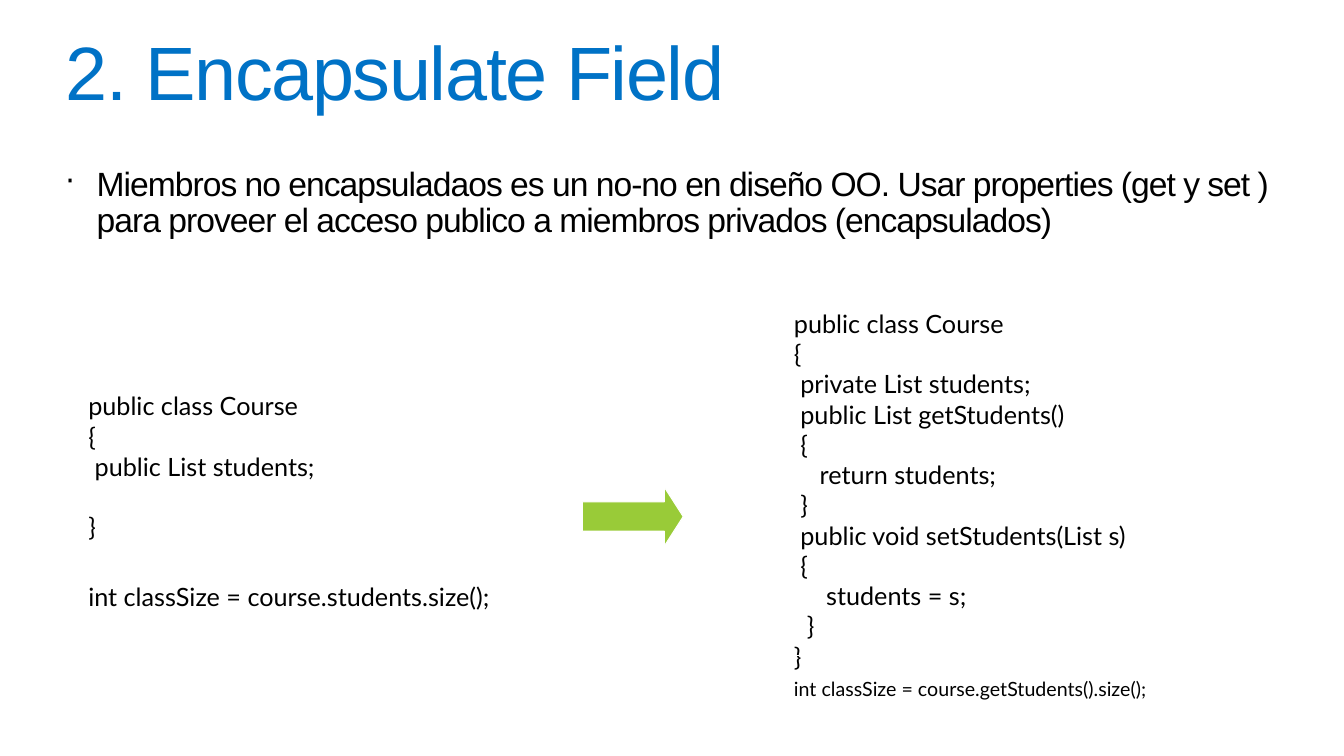
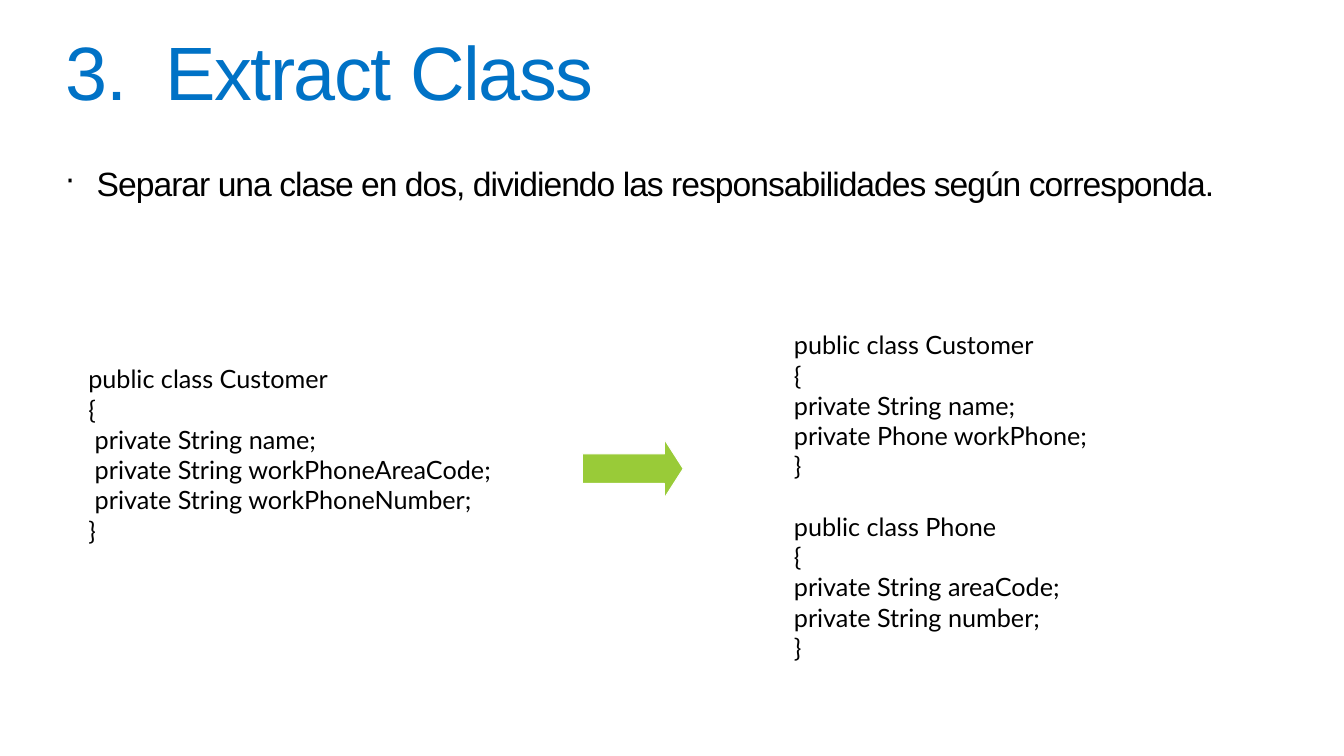
import pptx
import pptx.util
import pptx.dml.color
import pptx.enum.shapes
import pptx.enum.text
import pptx.oxml

COLORS = {"title": "0072C6", "text": "000000", "arrow": "99CB38", "outline": "FFFFFF"}
HEADING_FONT = "Arial"
CODE_FONT = "Lato"
CODE_LEADING = 1.2

deck = pptx.Presentation()
deck.slide_width = pptx.util.Inches(13.33)
deck.slide_height = pptx.util.Inches(7.5)
COLUMN = deck.slide_width / 120
ROW = deck.slide_height / 90

MARGIN, CONTENT_WIDTH = 5.13, 109.7
BEFORE, BEFORE_WIDTH = 7, 42
ARROW, ARROW_WIDTH, ARROW_HEIGHT = 52, 9, 7
AFTER, AFTER_WIDTH = 70, 47


def place(left, top, width, height):
    return [round(left * COLUMN), round(top * ROW), round(width * COLUMN), round(height * ROW)]


def write(box, text, size=18, font=CODE_FONT, color="text", anchor="MIDDLE",
          inset=(0.1, 0.05), leading=None, spacing=None, bullet=None):
    frame = box.text_frame
    frame.word_wrap = True
    frame.auto_size = pptx.enum.text.MSO_AUTO_SIZE.NONE
    frame.vertical_anchor = getattr(pptx.enum.text.MSO_ANCHOR, anchor)
    frame.margin_left = frame.margin_right = pptx.util.Inches(inset[0])
    frame.margin_top = frame.margin_bottom = pptx.util.Inches(inset[1])
    para, gap = frame.paragraphs[0], 0
    for index, line in enumerate(text.split("\n")):
        if not line:
            gap += size * CODE_LEADING
            continue
        if index:
            para = frame.add_paragraph()
        para.alignment = pptx.enum.text.PP_ALIGN.LEFT
        para.space_before, gap = pptx.util.Pt(gap), 0
        if leading:
            para.line_spacing = leading
        if bullet:
            properties = para._p.get_or_add_pPr()
            properties.set("marL", str(pptx.util.Inches(0.31)))
            properties.set("indent", str(pptx.util.Inches(-0.31)))
            for tag, value in (("buSzPct", "90000"), ("buChar", bullet)):
                key = "char" if tag == "buChar" else "val"
                mark = pptx.oxml.parse_xml(
                    f'<a:{tag} xmlns:a="http://schemas.openxmlformats.org/drawingml/2006/main" {key}="{value}"/>')
                properties.append(mark)
        span = para.add_run()
        span.text = line
        span.font.size = pptx.util.Pt(size)
        span.font.name = font
        span.font.color.rgb = pptx.dml.color.RGBColor.from_string(COLORS[color])
        if spacing:
            span._r.get_or_add_rPr().set("spc", str(round(spacing * 100)))


def outline(shape):
    shape.line.color.rgb = pptx.dml.color.RGBColor.from_string(COLORS["outline"])
    shape.line.width = pptx.util.Pt(0.75)


refactorings = [
    {
        "title": "2. Encapsulate Field",
        "summary": "Miembros no encapsuladaos es un no-no en diseño OO. Usar properties (get y set ) "
                   "para proveer el acceso publico a miembros privados (encapsulados)",
        "arrow_top": 58,
        "code": [
            (BEFORE, 46, BEFORE_WIDTH, 19, 18, """public class Course
{
 public List students;

}"""),
            (BEFORE, 67, BEFORE_WIDTH, 8, 18, "int classSize = course.students.size();"),
            (AFTER, 33.6, AFTER_WIDTH, 49.4, 18, """public class Course
{
 private List students;
 public List getStudents()
 {
    return students;
 }
 public void setStudents(List s)
 {
     students = s;
  }
}"""),
            (AFTER, 78, AFTER_WIDTH, 8, 14, "int classSize = course.getStudents().size();"),
        ],
    },
    {
        "title": "3.  Extract Class",
        "summary": "Separar una clase en dos, dividiendo las responsabilidades según corresponda.",
        "arrow_top": 52.3,
        "code": [
            (BEFORE, 43.1, BEFORE_WIDTH, 22, 18, """public class Customer
{
 private String name;
 private String workPhoneAreaCode;
 private String workPhoneNumber;
}"""),
            (AFTER, 37.7, AFTER_WIDTH, 42.7, 18, """public class Customer
{
private String name;
private Phone workPhone;
}

public class Phone
{
private String areaCode;
private String number;
}"""),
        ],
    },
]

for refactoring in refactorings:
    page = deck.slides.add_slide(deck.slide_layouts[5])
    title = page.shapes.title
    title.left, title.top, title.width, title.height = place(MARGIN, 3, CONTENT_WIDTH, 10)
    write(title, refactoring["title"], size=54, font=HEADING_FONT, color="title",
          anchor="TOP", inset=(0.08, 0.1), leading=0.9, spacing=-1)

    summary = page.shapes.add_textbox(*place(MARGIN, 19, CONTENT_WIDTH, 68))
    write(summary, refactoring["summary"], size=24, font=HEADING_FONT,
          anchor="TOP", inset=(0.08, 0.08), leading=0.9, spacing=-0.7, bullet="·")

    for left, top, width, height, size, code in refactoring["code"]:
        listing = page.shapes.add_textbox(*place(left, top, width, height))
        outline(listing)
        write(listing, code, size=size)

    arrow = page.shapes.add_shape(
        pptx.enum.shapes.MSO_SHAPE.RIGHT_ARROW,
        *place(ARROW, refactoring["arrow_top"], ARROW_WIDTH, ARROW_HEIGHT))
    arrow.adjustments[0], arrow.adjustments[1] = 0.5, 0.32
    arrow.shadow.inherit = False
    arrow.fill.solid()
    arrow.fill.fore_color.rgb = pptx.dml.color.RGBColor.from_string(COLORS["arrow"])
    outline(arrow)

deck.save("out.pptx")
